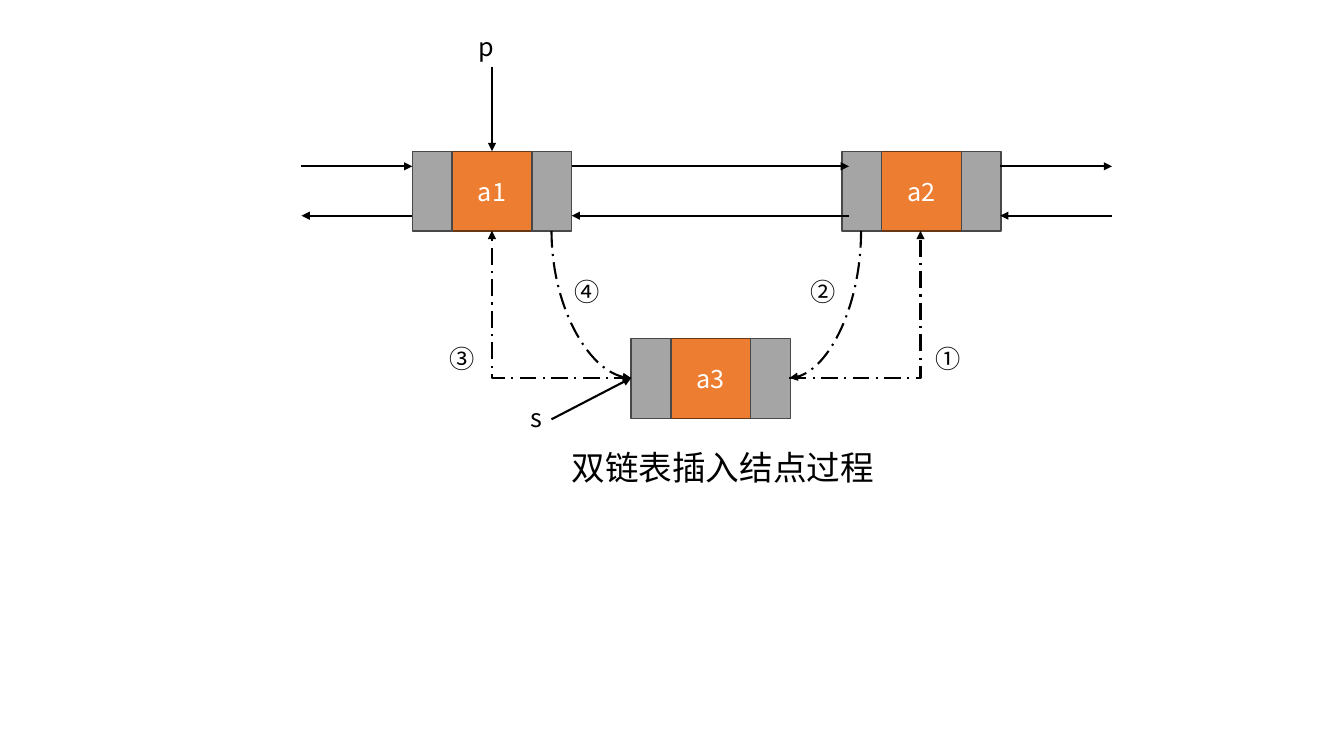
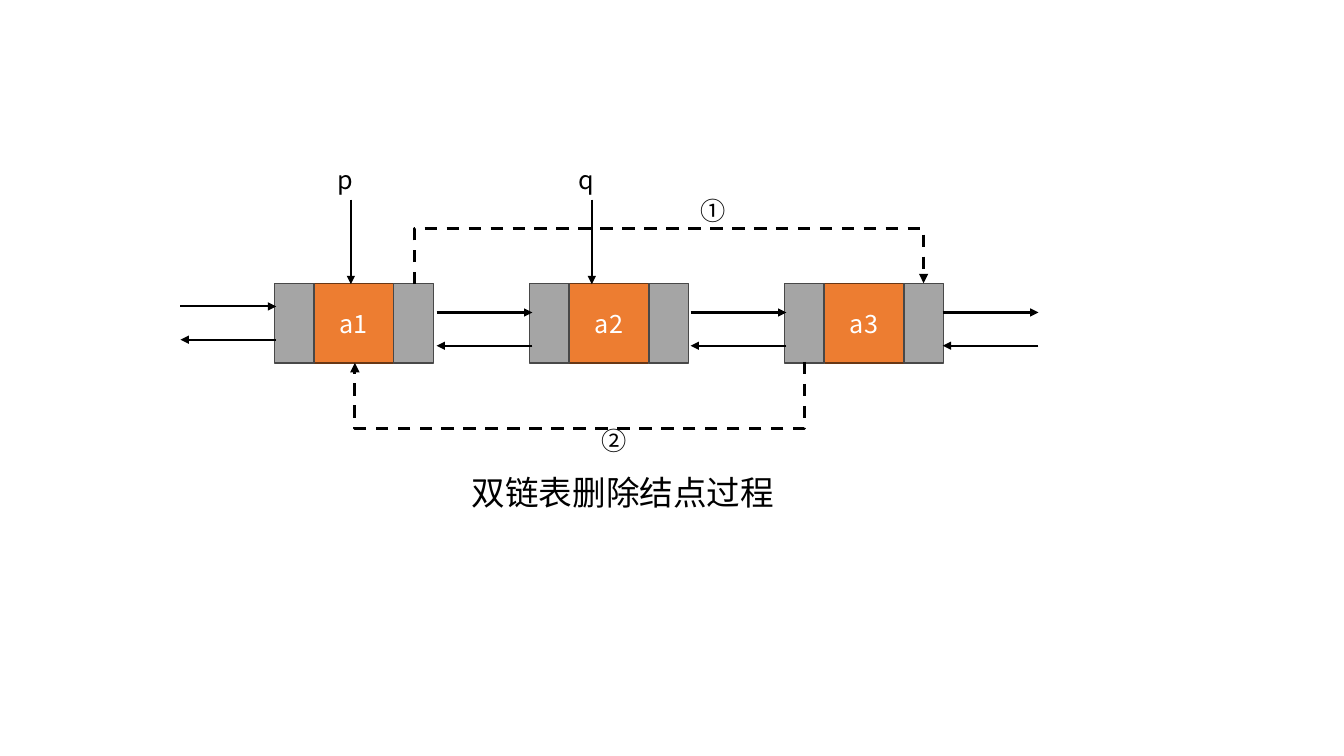
from lxml import etree
from pptx import Presentation
from pptx.dml.color import RGBColor
from pptx.enum.dml import MSO_LINE
from pptx.enum.shapes import MSO_CONNECTOR as CONN, MSO_SHAPE
from pptx.enum.text import MSO_ANCHOR, MSO_AUTO_SIZE, PP_ALIGN
from pptx.oxml.ns import qn
from pptx.util import Inches, Pt

COLORS = {
    "data": "ED7D31", "data_edge": "683715",
    "link": "A5A5A5", "link_edge": "484848",
    "ink": "000000", "light": "FFFFFF",
}
FONT = "Noto Sans CJK SC"
SIDE = 0.79  # data cell; each link cell is half as wide


def rgb(name):
    return RGBColor.from_string(COLORS[name])


def write(tf, text, size=18, color="ink", align=PP_ALIGN.LEFT):
    p = tf.paragraphs[0]
    p.alignment = align
    r = p.add_run()
    r.text = text
    r.font.size = Pt(size)
    r.font.name = FONT
    r.font.color.rgb = rgb(color)
    etree.SubElement(r.font._element, qn("a:ea"), typeface=FONT)


class ListDiagram:
    def __init__(self, prs):
        self.s = prs.slides.add_slide(prs.slide_layouts[6])

    def label(self, text, x, y, w=0.45, h=0.4, **fmt):
        tf = self.s.shapes.add_textbox(*map(Inches, (x, y, w, h))).text_frame
        tf.word_wrap = False
        tf.auto_size = MSO_AUTO_SIZE.SHAPE_TO_FIT_TEXT
        write(tf, text, **fmt)

    def caption(self, text, x, y, w):
        self.label(text, x, y, w, 0.5, size=24)

    def cell(self, x, y, w, kind):
        sp = self.s.shapes.add_shape(
            MSO_SHAPE.RECTANGLE, *map(Inches, (x, y, w, SIDE)))
        sp.shadow.inherit = False
        sp.fill.solid()
        sp.fill.fore_color.rgb = rgb(kind)
        sp.line.color.rgb = rgb(kind + "_edge")
        sp.line.width = Pt(1)
        return sp

    def node(self, text, x, y):
        """Data cell between its two link cells."""
        half = SIDE / 2
        tf = self.cell(x + half, y, SIDE, "data").text_frame
        tf.vertical_anchor = MSO_ANCHOR.MIDDLE
        write(tf, text, color="light", align=PP_ALIGN.CENTER)
        for link_x in (x + half + SIDE, x):
            self.cell(link_x, y, half, "link")

    def arrow(self, x1, y1, x2, y2, kind=CONN.STRAIGHT, width=1.5, dash=None):
        cn = self.s.shapes.add_connector(kind, *map(Inches, (x1, y1, x2, y2)))
        cn.line.color.rgb = rgb("ink")
        cn.line.width = Pt(width)
        if dash:
            cn.line.dash_style = dash
        etree.SubElement(cn.line._get_or_add_ln(), qn("a:tailEnd"), type="triangle")
        spPr = cn._element.spPr
        etree.SubElement(spPr, qn("a:effectLst"))
        return spPr

    def upright_arrow(self, x1, y1, x2, y2, **style):
        """Arrow that leaves vertically: a sideways one turned by 90 degrees."""
        cx, cy = (x1 + x2) / 2, (y1 + y2) / 2
        dx, dy = (x2 - x1) / 2, (y2 - y1) / 2
        spPr = self.arrow(cx - dy, cy + dx, cx + dy, cy - dx, **style)
        spPr.find(qn("a:xfrm")).set("rot", "5400000")
        return spPr

    def corner(self, *ends):
        spPr = self.arrow(*ends, kind=CONN.ELBOW, dash=MSO_LINE.LONG_DASH_DOT)
        spPr.find(qn("a:prstGeom")).set("prst", "bentConnector2")

    def curve(self, *ends):
        spPr = self.upright_arrow(*ends, kind=CONN.CURVE, dash=MSO_LINE.LONG_DASH_DOT)
        spPr.find(qn("a:prstGeom")).set("prst", "curvedConnector2")

    def detour(self, x1, y1, x2, y2, depth):
        """Dashed U-shaped arrow, reaching depth beyond its start."""
        spPr = self.upright_arrow(x1, y1, x2, y2, kind=CONN.ELBOW, width=2.25,
                                  dash=MSO_LINE.DASH)
        geom = spPr.find(qn("a:prstGeom"))
        guides = geom.find(qn("a:avLst"))
        if guides is None:
            guides = etree.SubElement(geom, qn("a:avLst"))
        ratio = round(depth / abs(y2 - y1) * 100000)
        etree.SubElement(guides, qn("a:gd"), name="adj1", fmla=f"val {ratio}")

    def links(self, x1, x2, y, gap):
        """Forward arrow with a backward arrow below it."""
        self.arrow(x1, y, x2, y)
        self.arrow(x2, y + gap, x1, y + gap)

    def pointer(self, name, x, y):
        self.arrow(x, y, x, y + 0.84)
        self.label(name, x - 0.23, y - 0.4, 0.35)


def insertion(prs):
    d = ListDiagram(prs)
    for text, x, y in (("a1", 4.09, 1.5), ("a2", 8.35, 1.5), ("a3", 6.26, 3.36)):
        d.node(text, x, y)
    for x1, x2 in ((5.67, 8.42), (2.99, 4.09), (9.92, 11.03)):
        d.links(x1, x2, 1.65, 0.49)
    d.caption("双链表插入结点过程", 5.57, 4.38, 3.36)
    d.corner(7.83, 3.75, 9.13, 2.29)
    d.corner(6.26, 3.75, 4.88, 2.29)
    d.curve(8.54, 2.29, 7.83, 3.75)
    d.curve(5.47, 2.29, 6.26, 3.75)
    for step, x, y in (("①", 9.18, 3.36), ("②", 7.94, 2.69),
                       ("③", 4.36, 3.36), ("④", 5.6, 2.69)):
        d.label(step, x, y)
    d.pointer("p", 4.88, 0.66)
    d.arrow(5.47, 4.16, 6.26, 3.75)
    d.label("s", 5.16, 3.94, 0.31)


def deletion(prs):
    d = ListDiagram(prs)
    for i, text in enumerate(("a1", "a2", "a3")):
        d.node(text, 2.72 + 2.53 * i, 2.81)
    for x, y in ((6.85, 3.1), (4.33, 3.1), (1.79, 3.04), (9.35, 3.1)):
        d.links(x, x + 0.95, y, 0.33)
    d.pointer("p", 3.48, 1.98)
    d.pointer("q", 5.87, 1.98)
    d.detour(4.11, 2.82, 9.16, 2.81, depth=0.56)
    d.detour(7.98, 3.59, 3.52, 3.6, depth=0.67)
    d.label("①", 6.85, 1.89)
    d.label("②", 5.87, 4.17)
    d.caption("双链表删除结点过程", 4.58, 4.63, 3.23)


def main():
    prs = Presentation()
    prs.slide_width, prs.slide_height = Inches(13.33), Inches(7.5)
    insertion(prs)
    deletion(prs)
    prs.save("out.pptx")


if __name__ == "__main__":
    main()
